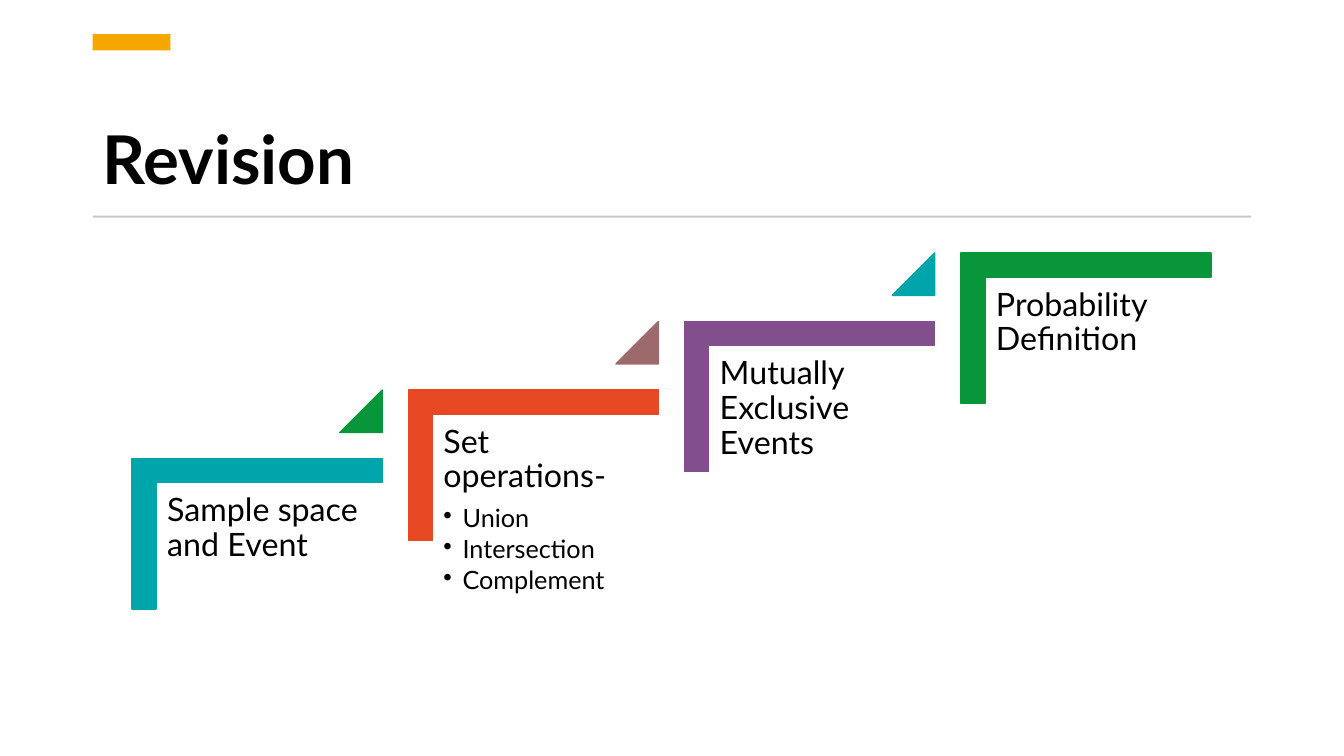
from lxml import etree
from pptx import Presentation
from pptx.dml.color import RGBColor
from pptx.enum.shapes import MSO_SHAPE as SHAPE
from pptx.enum.text import MSO_ANCHOR as ANCHOR, MSO_AUTO_SIZE as AUTO, PP_ALIGN as ALIGN
from pptx.oxml.ns import qn
from pptx.util import Inches, Pt

COLORS = {
    "white": "FFFFFF", "black": "000000", "amber": "F5A700", "rule": "C9C9C9",
    "teal": "00A5AB", "green": "09963B", "orange": "E64823",
    "purple": "824F8C", "mauve": "9C6A6A",
}
FONT = "Lato"
TITLE_FORMAT = {"name": FONT, "size": Pt(48), "bold": True}
STEP_FORMAT = {"name": FONT, "size": Pt(23)}
BULLET_FORMAT = {"name": FONT, "size": Pt(18)}

# Staircase grid: each step moves one column right and one row up
COLUMN, ROW = 2.74, 0.68
STEP_W, STEP_H = 2.48, 1.49
BAR = 0.25
TRIANGLE = 0.42

# Heading, bullets, bracket colour, colour of the triangle to the next step
STEPS = [
    ("Sample space and Event", [], "teal", "green"),
    ("Set operations-", ["Union", "Intersection", "Complement"], "orange", "mauve"),
    ("Mutually Exclusive Events", [], "purple", "teal"),
    ("Probability Definition", [], "green", None),
]


def rgb(name):
    return RGBColor.from_string(COLORS[name])


def add_block(shapes, kind, box, color, outlined=False):
    sp = shapes.add_shape(kind, *map(Inches, box))
    sp.shadow.inherit = False
    sp.fill.solid()
    sp.fill.fore_color.rgb = rgb(color)
    if outlined:
        sp.line.color.rgb = rgb(color)
        sp.line.width = Pt(1)
    else:
        sp.line.fill.background()
    return sp


def write(p, text, font_format):
    r = p.add_run()
    r.text = text
    for name, value in font_format.items():
        setattr(r.font, name, value)
    r.font.color.rgb = rgb("black")
    p.alignment = ALIGN.LEFT
    p.line_spacing = 0.9


def add_bullet(p):
    p.level = 1
    pPr = p._p.get_or_add_pPr()
    pPr.set("marL", str(Inches(0.19)))
    pPr.set("indent", str(-Inches(0.19)))
    etree.SubElement(pPr, qn("a:buChar")).set("char", "•")


def add_header(s, left, top, width, height):
    # Title
    title = s.shapes.title
    title.left, title.top, title.width, title.height = map(
        Inches, (left, top + 0.41, width, 1.27))
    tf = title.text_frame
    tf.vertical_anchor = ANCHOR.BOTTOM
    tf.auto_size = AUTO.NONE
    write(tf.paragraphs[0], "Revision", TITLE_FORMAT)
    # Accent tab and rule
    add_block(s.shapes, SHAPE.RECTANGLE, (left, top, 0.77, 0.16), "amber")
    add_block(s.shapes, SHAPE.RECTANGLE, (left, top + height, width, 0.02), "rule")


def add_step(shapes, left, top, heading, bullets, color, next_color):
    # Bracket: an upright corner turned a quarter about its centre
    shift = (STEP_W - STEP_H) / 2
    bracket = add_block(shapes, SHAPE.CORNER,
                        (left + shift, top - shift, STEP_H, STEP_W), color, True)
    bracket.rotation = 90
    for i in range(2):
        bracket.adjustments[i] = 0.16
    # Text inside the bracket
    box = (left + BAR, top + BAR, STEP_W - BAR, 1.96)
    tf = shapes.add_textbox(*map(Inches, box)).text_frame
    tf.word_wrap = True
    for side in ("left", "top", "right", "bottom"):
        setattr(tf, f"margin_{side}", Inches(0.1))
    p = tf.paragraphs[0]
    write(p, heading, STEP_FORMAT)
    p.space_after = Pt(8)
    for bullet in bullets:
        p = tf.add_paragraph()
        write(p, bullet, BULLET_FORMAT)
        p.space_after = Pt(2.7)
        add_bullet(p)
    # Triangle pointing up to the next step
    if next_color:
        box = (left + STEP_W - TRIANGLE, top - ROW, TRIANGLE, TRIANGLE)
        triangle = add_block(shapes, SHAPE.ISOSCELES_TRIANGLE, box, next_color, True)
        triangle.adjustments[0] = 1


def add_staircase(s, left, first_top):
    group = s.shapes.add_group_shape()
    for i, step in enumerate(STEPS):
        add_step(group.shapes, left + i * COLUMN, first_top - i * ROW, *step)


def main():
    prs = Presentation()
    prs.slide_width, prs.slide_height = Inches(13.33), Inches(7.5)
    s = prs.slides.add_slide(prs.slide_layouts[5])
    s.background.fill.solid()
    s.background.fill.fore_color.rgb = rgb("white")
    add_header(s, 0.92, 0.34, 11.49, 1.8)
    add_staircase(s, 1.31, 4.55)
    prs.save("out.pptx")


if __name__ == "__main__":
    main()
